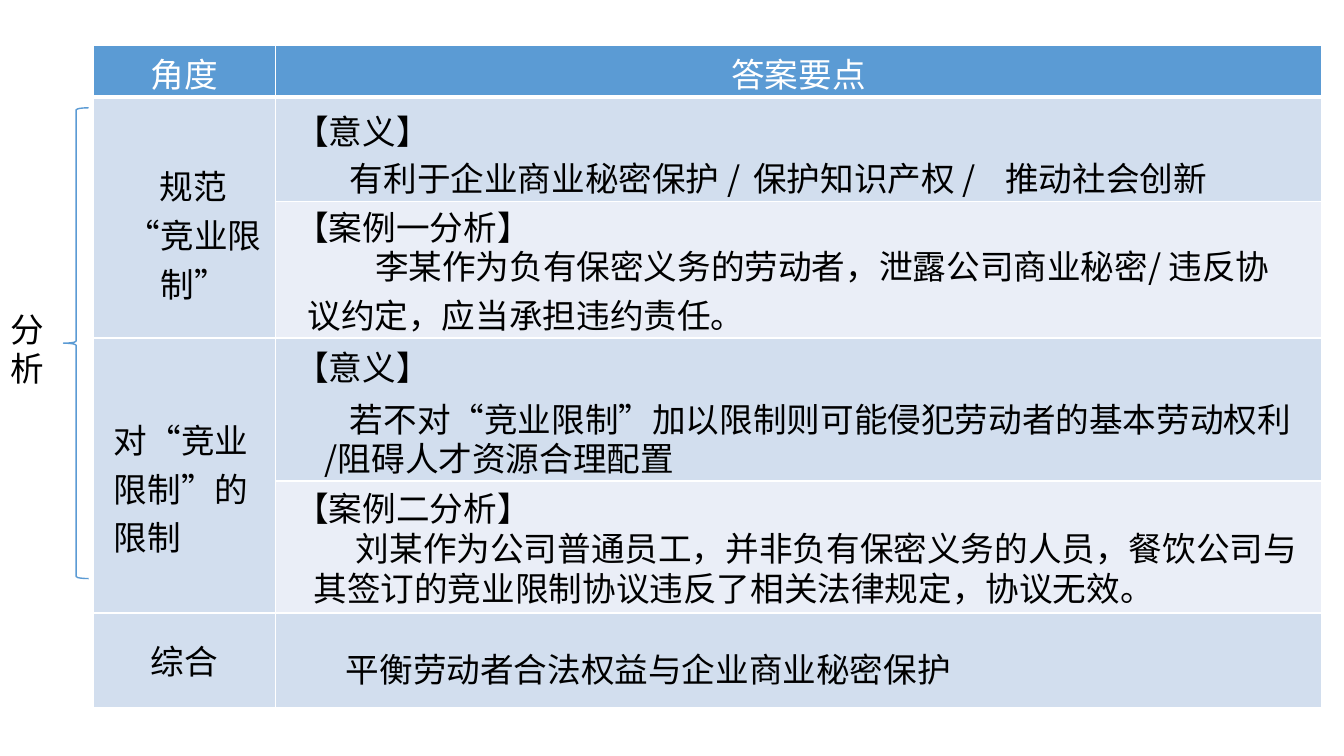
from dataclasses import dataclass
from itertools import groupby

from lxml.etree import SubElement
from pptx import Presentation
from pptx.dml.color import RGBColor
from pptx.enum.shapes import MSO_SHAPE
from pptx.enum.text import PP_ALIGN
from pptx.oxml.ns import qn
from pptx.util import Inches, Pt


@dataclass(frozen=True)
class Theme:
    blue: RGBColor = RGBColor(0x5B, 0x9B, 0xD4)
    band: RGBColor = RGBColor(0xD2, 0xDE, 0xEE)
    pale: RGBColor = RGBColor(0xEA, 0xEE, 0xF7)
    white: RGBColor = RGBColor(0xFF, 0xFF, 0xFF)
    black: RGBColor = RGBColor(0, 0, 0)
    font: str = "Noto Sans CJK SC"
    quote_font: str = "Calibri"
    size: Pt = Pt(24)


theme = Theme()


def write_text(frame, top, color, lines, align=PP_ALIGN.LEFT):
    """Fill a frame; each line is (text, indent in inches, space before, line spacing, tab stops)."""
    for number, (text, indent, before, spacing, tabs) in enumerate(lines):
        paragraph = frame.paragraphs[0] if number == 0 else frame.add_paragraph()
        properties = paragraph._p.get_or_add_pPr()
        properties.set("marL", str(Inches(indent)))
        properties.set("indent", "0")
        if tabs:
            tab_list = SubElement(properties, qn("a:tabLst"))
            for position in tabs:
                SubElement(tab_list, qn("a:tab"), pos=str(Inches(position)), algn="l")
        paragraph.alignment = align
        if before:
            paragraph.space_before = Pt(before)
        if spacing:
            paragraph.line_spacing = Pt(spacing)
        paragraph.font.size = theme.size
        paragraph.font.name = theme.font
        paragraph.font.color.rgb = color
        SubElement(properties.find(qn("a:defRPr")), qn("a:ea"), typeface=theme.font)
        for is_quote, letters in groupby(text, key=lambda letter: letter in "“”"):
            run = paragraph.add_run()
            run.text = "".join(letters)
            if is_quote:
                run.font.name = theme.quote_font
    frame.margin_left = frame.margin_right = frame.margin_bottom = 0
    frame.margin_top = Inches(top)


def draw_borders(cell, widths):
    """Draw white borders; widths in points for left, right, top and bottom."""
    properties = cell._tc.get_or_add_tcPr()
    for side, width in zip("LRTB", widths):
        line = SubElement(properties, qn(f"a:ln{side}"), w=str(Pt(width)))
        fill = SubElement(line, qn("a:solidFill"))
        SubElement(fill, qn("a:srgbClr"), val=str(theme.white))


presentation = Presentation()
presentation.slide_width = Inches(13.33)
presentation.slide_height = Inches(7.5)
slide = presentation.slides.add_slide(presentation.slide_layouts[6])

column_widths = [1.8, 10.38]
row_heights = [0.5, 0.96, 1.31, 1.27, 1.31, 0.94]
answer_table = slide.shapes.add_table(
    len(row_heights), len(column_widths), Inches(0.93), Inches(0.45),
    Inches(sum(column_widths)), Inches(sum(row_heights))).table
for column, width in zip(answer_table.columns, column_widths):
    column.width = Inches(width)
for row, height in zip(answer_table.rows, row_heights):
    row.height = Inches(height)

row_fills = [theme.blue, theme.band, theme.pale, theme.band, theme.pale, theme.band]
for row_index, row_fill in enumerate(row_fills):
    for column_index in range(len(column_widths)):
        cell = answer_table.cell(row_index, column_index)
        draw_borders(cell, (1, 1, 3 if row_index == 1 else 1, 3 if row_index == 0 else 1))
        cell.fill.solid()
        is_angle = row_index > 0 and column_index == 0
        cell.fill.fore_color.rgb = theme.band if is_angle else row_fill
for first_row in (1, 3):
    answer_table.cell(first_row, 0).merge(answer_table.cell(first_row + 1, 0))

# (row, column): top margin, alignment, lines
cell_texts = {
    (0, 0): (0.03, PP_ALIGN.CENTER, [("角度", 0, 0, None, ())]),
    (0, 1): (0.03, PP_ALIGN.CENTER, [("答案要点", 0, 0, None, ())]),
    (1, 0): (0.63, PP_ALIGN.CENTER, [
        ("规范", 0.18, 0, None, ()),
        ("“竞业限制”", 0.19, 0, None, ())]),
    (1, 1): (0.08, PP_ALIGN.LEFT, [
        ("【意义】", 0.2, 0, None, ()),
        ("有利于企业商业秘密保护 /\t保护知识产权 /\t推动社会创新", 0.74, 5.8, 28.1, (4.9, 7.4))]),
    (2, 1): (0.09, PP_ALIGN.LEFT, [
        ("【案例一分析】", 0.2, 0, 28.1, ()),
        ("李某作为负有保密义务的劳动者，泄露公司商业秘密/ 违反协", 0.99, 0, 28.1, ()),
        ("议约定，应当承担违约责任。", 0.32, 0, None, ())]),
    (3, 0): (0.76, PP_ALIGN.LEFT, [("对“竞业限制”的限制", 0.2, 0, None, ())]),
    (3, 1): (0.04, PP_ALIGN.LEFT, [
        ("【意义】", 0.2, 0, None, ()),
        ("若不对“竞业限制”加以限制则可能侵犯劳动者的基本劳动权利", 0.74, 2.1, None, ()),
        ("/阻碍人才资源合理配置", 0.49, 1.7, 25.9, ())]),
    (4, 1): (0.1, PP_ALIGN.LEFT, [
        ("【案例二分析】", 0.2, 0, 28.7, ()),
        ("刘某作为公司普通员工，并非负有保密义务的人员，餐饮公司与", 0.8, 0, 28.7, ()),
        ("其签订的竞业限制协议违反了相关法律规定，协议无效。", 0.38, 1.6, 27.1, ())]),
    (5, 0): (0.22, PP_ALIGN.CENTER, [("综合", 0, 0, None, ())]),
    (5, 1): (0.3, PP_ALIGN.LEFT, [("平衡劳动者合法权益与企业商业秘密保护", 0.7, 0, None, ())]),
}
for (row_index, column_index), (top, align, lines) in cell_texts.items():
    cell = answer_table.cell(row_index, column_index)
    color = theme.white if row_index == 0 else theme.black
    # A cell carries its own margins, so its text frame only takes the paragraphs.
    write_text(cell.text_frame, 0, color, lines, align)
    cell.margin_left = cell.margin_right = cell.margin_bottom = 0
    cell.margin_top = Inches(top)

brace = slide.shapes.add_shape(
    MSO_SHAPE.LEFT_BRACE, Inches(0.63), Inches(1.07), Inches(0.25), Inches(4.67))
brace.adjustments[0] = 0.08
brace.adjustments[1] = 0.5
brace.shadow.inherit = False
brace.fill.background()
brace.line.color.rgb = theme.blue
brace.line.width = Pt(1)

analysis_label = slide.shapes.add_textbox(Inches(0.09), Inches(3.07), Inches(0.36), Inches(0.8))
analysis_label.text_frame.word_wrap = True
write_text(analysis_label.text_frame, 0.01, theme.black,
           [(letter, 0.01, 0, 27.9, ()) for letter in "分析"])

presentation.save("out.pptx")
